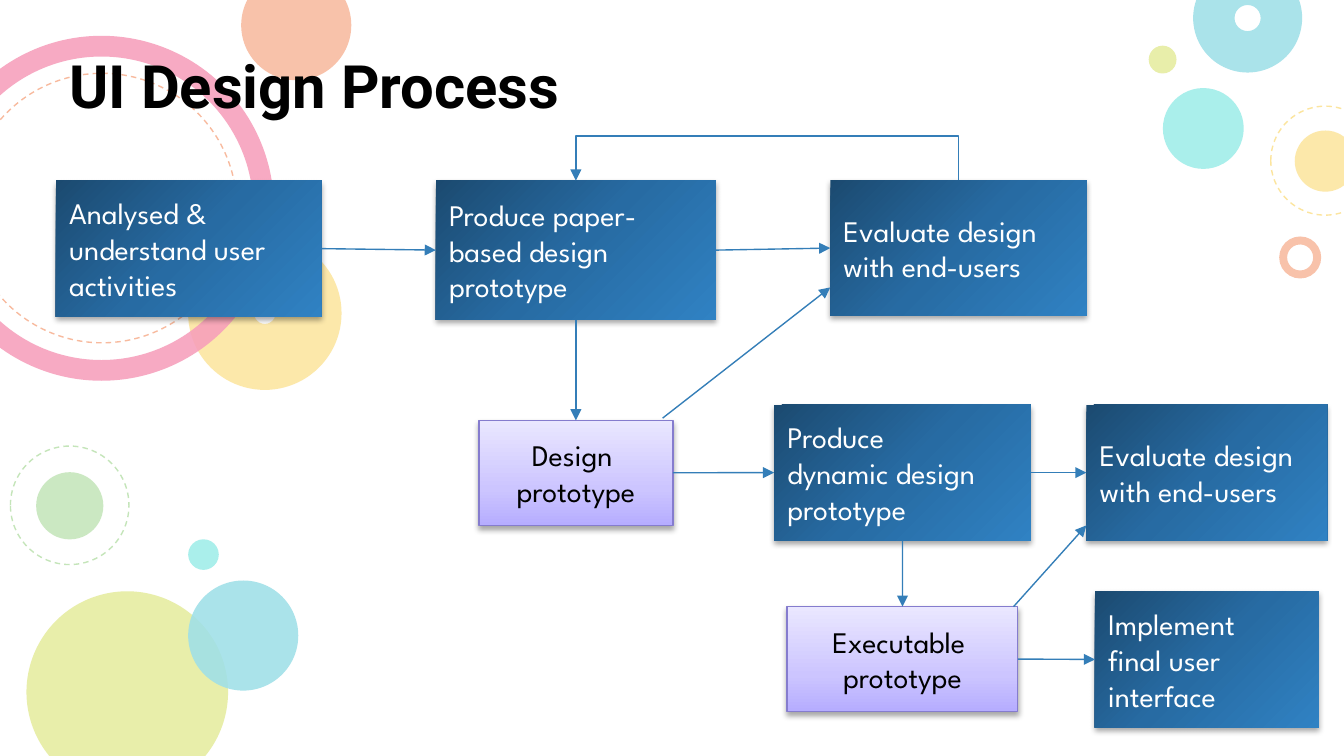
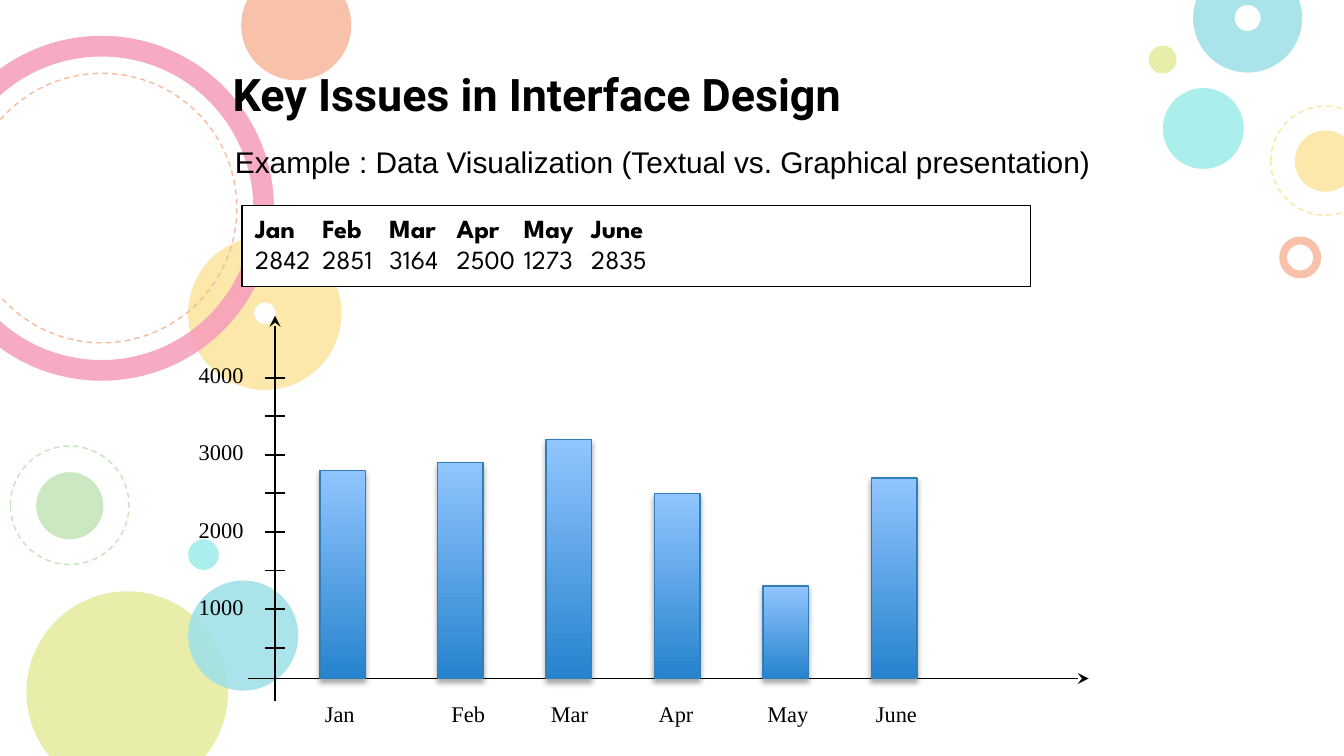
"""Build two slides on interface design: a process flow and a data example."""
from dataclasses import dataclass
from lxml.etree import SubElement
from pptx import Presentation
from pptx.dml.color import RGBColor
from pptx.enum.dml import MSO_LINE
from pptx.enum.shapes import MSO_CONNECTOR, MSO_SHAPE
from pptx.enum.text import MSO_ANCHOR, PP_ALIGN
from pptx.oxml.ns import qn
from pptx.util import Pt


@dataclass(frozen=True)
class Theme:
    ink: str = "000000"
    white: str = "FFFFFF"
    link: str = "347EB8"
    edge: str = "857CCE"
    frame: str = "2A5E87"
    aqua: str = "00D1C6"
    lime: str = "BBCD00"
    green: str = "65BB48"
    gold: str = "F8BB00"
    coral: str = "ED4A00"
    pink: str = "E8004C"
    teal: str = "00ACC3"
    step: tuple = ((0, "1B4A70"), (50, "276BA3"), (100, "3082C3"))
    proto: tuple = ((0, "B6ADFF"), (35, "CCC5FF"), (100, "EAE7FF"))
    bar: tuple = ((0, "2683CD"), (100, "91C5FF"))
    head: str = "Roboto"
    body: str = "League Spartan"
    plain: str = "Arial"
    serif: str = "Times New Roman"
    big: int = 32
    mid: int = 24
    text: int = 16
    data: int = 14
    small: int = 12
    thin: float = 0.75


T = Theme()
SIZE = 720, 405

DISC, RING, DASH = "disc", "ring", "dash"
BUBBLES = [
    (DISC, 100.8, 288.9, 16.4, T.aqua, 0),
    (DISC, 14.2, 316.8, 108, T.lime, 0),
    (DISC, 19.4, 253, 36, T.green, 0),
    (DASH, 5.6, 239, 63.5, T.green, 0),
    (RING, 100.8, 126.7, 82.2, T.gold, 0.43),
    (DISC, 129.2, -16, 59, T.coral, 0),
    (RING, -38, 19.2, 184.8, T.pink, 0.06),
    (DASH, -17.5, 39.3, 144.4, T.coral, 0),
    (DISC, 100.8, 311, 59, T.teal, 0),
    (DISC, 623, 47.2, 43.3, T.aqua, 0),
    (RING, 685.3, 126.7, 22.5, T.coral, 0.19),
    (DISC, 693.6, 69.9, 32.8, T.gold, 0),
    (RING, 639.2, -19.5, 58.4, T.teal, 0.38),
    (DISC, 615.4, 24.5, 14.9, T.lime, 0),
    (DASH, 680.8, 56.9, 58.4, T.gold, 0),
]
VEIL = -22.3, -13.7, 771.8, 439.9

STEPS = {
    "study": (30, 96.7, 142.3, 73, ["Analysed &", "understand user", "activities"]),
    "test": (444.8, 96.7, 137.3, 72.4, ["Evaluate design", "with end-users"]),
    "paper": (233.5, 96.7, 150, 74.6, ["Produce paper-", "based design", "prototype"]),
    "live": (414.7, 216.7, 137.5, 73, ["Produce", "dynamic design", "prototype"]),
    "retest": (582, 216.7, 129, 73, ["Evaluate design", "with end-users"]),
    "final": (586.6, 316.8, 120, 73, ["Implement", "final user", "interface"]),
}
PROTOS = {
    "design": (256.5, 225.2, 104, 56.2, ["Design ", "prototype"]),
    "exec": (421.7, 325, 123.6, 56.2, ["Executable ", "prototype"]),
}
TOP, LEFT, BASE, RIGHT = range(4)
LINKS = [
    ("study", RIGHT, "paper", LEFT),
    ("paper", RIGHT, "test", LEFT),
    ("paper", BASE, "design", TOP),
    ("design", RIGHT, "live", LEFT),
    ("live", RIGHT, "retest", LEFT),
    ("live", BASE, "exec", TOP),
    ("exec", RIGHT, "final", LEFT),
]
SLANTS = [(355, 224, 444.8, 154), (543, 325, 582, 281.5)]
RISE = 20.9

MONTHS = [
    ("Jan", 2842, 2800, 171.4, 167),
    ("Feb", 2851, 2900, 234.4, 234.8),
    ("Mar", 3164, 3200, 292.5, 288),
    ("Apr", 2500, 2500, 350.6, 345.8),
    ("May", 1273, 1300, 408.7, 404),
    ("June", 2835, 2700, 466.8, 462.2),
]
ZERO, UNIT, FLOOR = 367.6, 0.0413, 363.5
AXIS, TICK, THICK = 147.4, 5.2, 24.4


def rgb(code):
    return RGBColor.from_string(code)


def write(frame, lines, font=T.body, size=T.text, color=T.ink, bold=(False,),
          align=PP_ALIGN.LEFT, anchor=MSO_ANCHOR.TOP, pad=3.6):
    frame.word_wrap = True
    frame.vertical_anchor = anchor
    frame.margin_left = frame.margin_right = Pt(7.2)
    frame.margin_top = frame.margin_bottom = Pt(pad)
    for i, line in enumerate(lines):
        para = frame.add_paragraph() if i else frame.paragraphs[0]
        para.alignment = align
        run = para.add_run()
        run.text = line
        run.font.name, run.font.size = font, Pt(size)
        run.font.bold = bold[min(i, len(bold) - 1)]
        run.font.color.rgb = rgb(color)


def label(slide, x, y, w, h, line, **fmt):
    box = slide.shapes.add_textbox(*map(Pt, (x, y, w, h)))
    write(box.text_frame, [line], **fmt)


def child(node, tag, **attrs):
    return SubElement(node, qn(tag), {k: str(v) for k, v in attrs.items()})


def shape(slide, kind, x, y, w, h, fill=None, clear=100, line=None, width=T.thin):
    item = slide.shapes.add_shape(kind, *map(Pt, (x, y, w, h)))
    item.shadow.inherit = False
    if fill:
        item.fill.solid()
        item.fill.fore_color.rgb = rgb(fill)
        if clear < 100:
            tone = item.element.spPr.find(qn("a:solidFill"))[0]
            child(tone, "a:alpha", val=clear * 1000)
    else:
        item.fill.background()
    if line:
        item.line.color.rgb = rgb(line)
        item.line.width = Pt(width)
    else:
        item.line.fill.background()
    return item


def block(slide, x, y, w, h, stops, angle, line=None):
    item = shape(slide, MSO_SHAPE.RECTANGLE, x, y, w, h, line=line)
    props = item.element.spPr
    grad = props.find(qn("a:noFill"))
    fill = child(props, "a:gradFill", rotWithShape=1)
    props.replace(grad, fill)
    steps = child(fill, "a:gsLst")
    for pos, code in stops:
        child(child(steps, "a:gs", pos=pos * 1000), "a:srgbClr", val=code)
    child(fill, "a:lin", ang=angle * 60000, scaled=0)
    cast = child(props.find(qn("a:effectLst")), "a:outerShdw", blurRad=Pt(3.1),
                 dist=Pt(1.8), dir=90 * 60000, rotWithShape=0)
    child(child(cast, "a:srgbClr", val=T.ink), "a:alpha", val=35000)
    return item


def wire(slide, x1, y1, x2, y2, color=T.link, width=T.thin, tip=None,
         kind=MSO_CONNECTOR.STRAIGHT):
    item = slide.shapes.add_connector(kind, *map(Pt, (x1, y1, x2, y2)))
    item.line.color.rgb = rgb(color)
    item.line.width = Pt(width)
    if tip:
        child(item.line._get_or_add_ln(), "a:tailEnd", type=tip)
    child(item.element.spPr, "a:effectLst")
    return item


def loop(slide, start, end):
    x1, x2 = (s[0] + s[2] / 2 for s in (start, end))
    mid, y, thin = (x1 + x2) / 2, start[1], 0.1
    span = x1 - x2
    item = wire(slide, mid - thin / 2, y - span / 2, mid + thin / 2, y + span / 2,
                tip="triangle", kind=MSO_CONNECTOR.ELBOW)
    props = item.element.spPr
    props.find(qn("a:xfrm")).set("rot", str(90 * 60000))
    rule = props.find(qn("a:prstGeom")).find(qn("a:avLst"))
    child(rule, "a:gd", name="adj1", fmla=f"val {round(-RISE / thin * 100000)}")


def dress(slide, layout):
    for kind, x, y, size, color, ring in BUBBLES:
        form = MSO_SHAPE.DONUT if kind == RING else MSO_SHAPE.OVAL
        if kind == DASH:
            item = shape(slide, form, x, y, size, size, line=color)
            item.line.dash_style = MSO_LINE.DASH
        else:
            item = shape(slide, form, x, y, size, size, fill=color, clear=87)
        if ring:
            item.adjustments[0] = ring
        layout.shapes.element.append(item.element)
    veil = shape(slide, MSO_SHAPE.RECTANGLE, *VEIL, fill=T.white, clear=62,
                 line=T.frame, width=2)
    layout.shapes.element.append(veil.element)


def title(slide, line, x, w, size):
    item = slide.shapes.title
    item.left, item.top, item.width, item.height = map(Pt, (x, 21.6, w, 50.4))
    write(item.text_frame, [line], font=T.head, size=size, bold=(True,),
          anchor=MSO_ANCHOR.BOTTOM, pad=7.2)


def flow(slide):
    title(slide, "UI Design Process", 30, 616.3, T.big)
    nodes = {}
    for name, (*area, lines) in STEPS.items():
        nodes[name] = block(slide, *area, T.step, 45)
        write(nodes[name].text_frame, lines, color=T.white, anchor=MSO_ANCHOR.MIDDLE)
    for name, (*area, lines) in PROTOS.items():
        nodes[name] = block(slide, *area, T.proto, 270, line=T.edge)
        write(nodes[name].text_frame, lines, align=PP_ALIGN.CENTER,
              anchor=MSO_ANCHOR.MIDDLE)
    for start, out, end, into in LINKS:
        item = wire(slide, 0, 0, 0, 0, tip="triangle")
        item.begin_connect(nodes[start], out)
        item.end_connect(nodes[end], into)
    for ends in SLANTS:
        wire(slide, *ends, tip="triangle")
    loop(slide, STEPS["test"], STEPS["paper"])


def issues(slide):
    title(slide, "Key Issues in Interface Design", 117.4, 529.2, T.mid)
    box = shape(slide, MSO_SHAPE.RECTANGLE, 129.6, 110.2, 422.6, 43.2,
                fill=T.white, line=T.ink)
    rows = ["\t".join(str(m[i]) for m in MONTHS) for i in (0, 1)]
    write(box.text_frame, rows, size=T.data, bold=(True, False))

    pen = dict(color=T.ink, width=1)
    wire(slide, AXIS, 375.8, AXIS, 169.2, tip="stealth", **pen)
    wire(slide, 133, FLOOR, 583.2, FLOOR, tip="stealth", **pen)
    for level in range(500, 4001, 500):
        y = ZERO - level * UNIT
        wire(slide, AXIS - TICK, y, AXIS + TICK, y, **pen)
        if level % 1000 == 0:
            label(slide, 99.4, y - 12.3, 43.2, 20.2, str(level),
                  font=T.serif, size=T.small)
    for month, _, level, x, left in MONTHS:
        y = ZERO - level * UNIT
        block(slide, x, y, THICK, FLOOR - y, T.bar, 270, line=T.link)
        label(slide, left, 371.5, 38.9, 20.2, month, font=T.serif, size=T.small)
    label(slide, 118.8, 73.4, 517.7, 26.6,
          "Example : Data Visualization (Textual vs. Graphical presentation)",
          font=T.plain)


def main():
    deck = Presentation()
    deck.slide_width, deck.slide_height = map(Pt, SIZE)
    layout = deck.slide_layouts[5]
    first, second = (deck.slides.add_slide(layout) for _ in range(2))
    dress(first, layout)
    flow(first)
    issues(second)
    deck.save("out.pptx")


if __name__ == "__main__":
    main()
